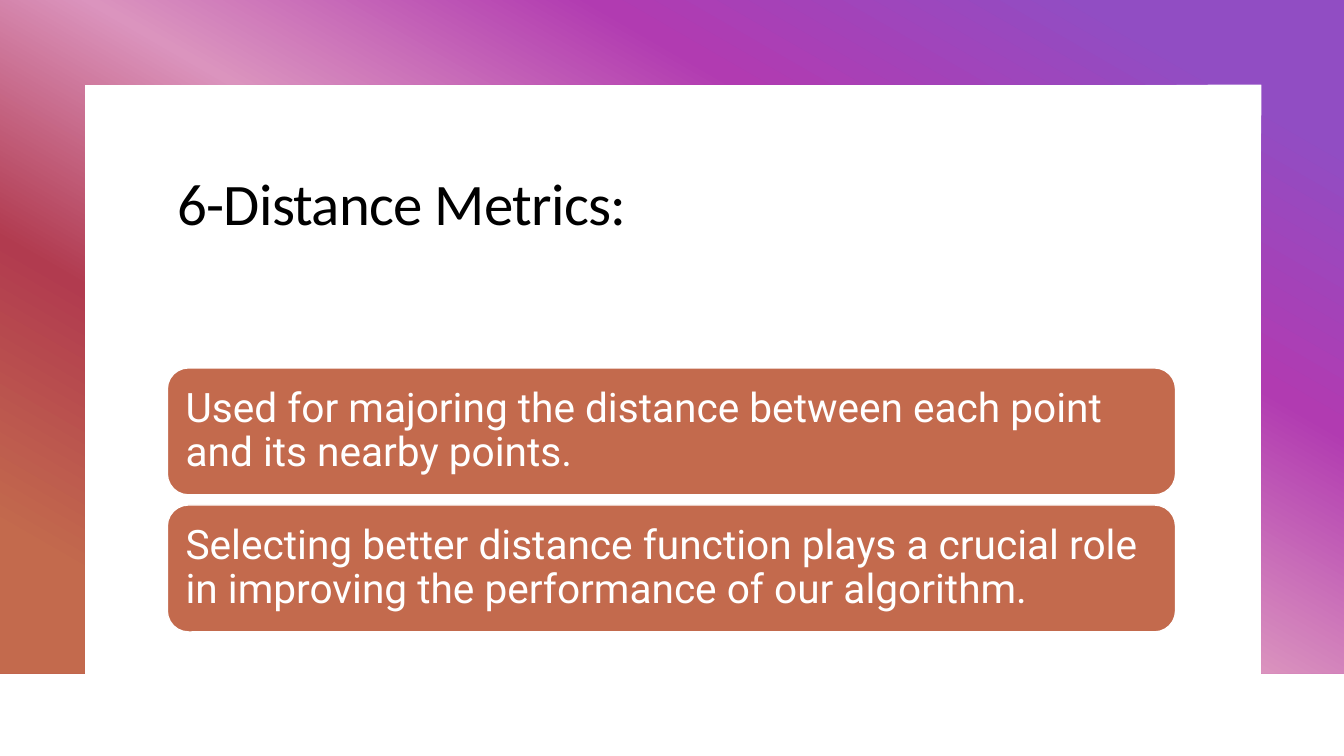
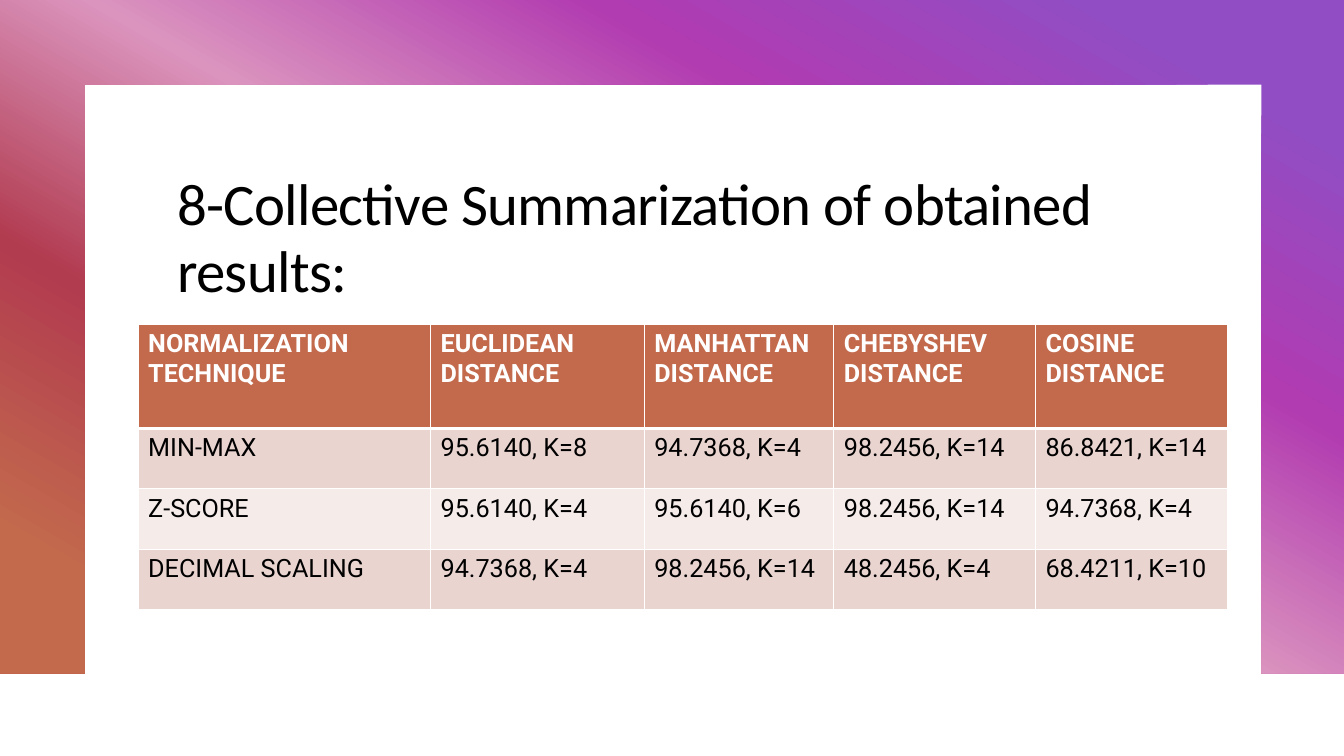
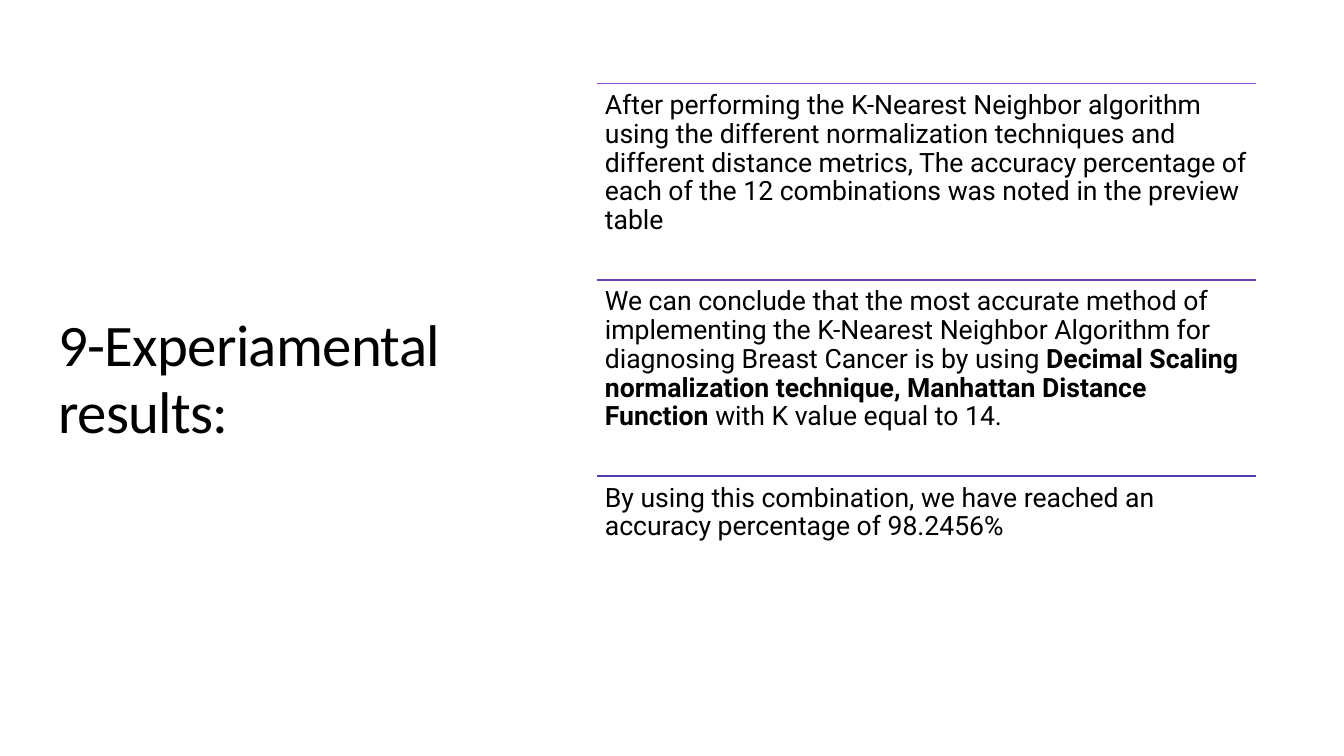
from dataclasses import dataclass

from lxml import etree
from pptx import Presentation
from pptx.dml.color import RGBColor
from pptx.enum.shapes import MSO_CONNECTOR, MSO_SHAPE
from pptx.enum.text import MSO_ANCHOR, MSO_AUTO_SIZE, PP_ALIGN
from pptx.oxml.ns import qn
from pptx.util import Inches, Pt

ROUNDED = MSO_SHAPE.ROUNDED_RECTANGLE
RECTANGLE = MSO_SHAPE.RECTANGLE
STRAIGHT = MSO_CONNECTOR.STRAIGHT
TOP = MSO_ANCHOR.TOP
MIDDLE = MSO_ANCHOR.MIDDLE
LEFT = PP_ALIGN.LEFT
NO_AUTOFIT = MSO_AUTO_SIZE.NONE
TITLE_ONLY = 5
BEHIND_ALL = 2


@dataclass(frozen=True)
class Theme:
    white: str = "FFFFFF"
    black: str = "000000"
    accent: str = "C36A4D"
    band_dark: str = "E9D4D0"
    band_light: str = "F5EBE9"
    gradient: tuple = (
        (10, "914DC3"),
        (30, "B13BB1"),
        (50, "DB94BE"),
        (70, "B13B4F"),
        (90, "C36A4D"),
    )
    rules: tuple = ("914DC3", "6F41BE", "503DB2")
    title_font: str = "Calibri"
    body_font: str = "Roboto"
    title_size: int = 42
    card_size: int = 29
    finding_size: int = 19
    table_size: int = 18


@dataclass(frozen=True)
class Box:
    left: float
    top: float
    width: float
    height: float

    def inches(self):
        return tuple(Inches(value) for value in (self.left, self.top, self.width, self.height))


THEME = Theme()
PAGE = Box(0, 0, 13.33, 7.5)
TITLE_BOX = Box(1.66, 1.66, 10, 1.47)
SIDE_TITLE_BOX = Box(0.48, 0.85, 4.63, 5.84)
CARDS_BOX = Box(1.66, 3.65, 10, 2.62)
TABLE_BOX = Box(1.37, 3.22, 10.81, 2.83)
FINDINGS_BOX = Box(5.92, 0.83, 6.54, 5.84)

CARDS = (
    "Used for majoring the distance between each point and its nearby points.",
    "Selecting better distance function plays a crucial role in improving the performance of our algorithm.",
)
COLUMN_WIDTHS = (2.9, 2.12, 1.88, 2, 1.91)
ROW_HEIGHTS = (1.03, 0.6, 0.6, 0.6)
RESULTS = (
    ("NORMALIZATION TECHNIQUE", "EUCLIDEAN DISTANCE", "MANHATTAN DISTANCE", "CHEBYSHEV DISTANCE", "COSINE DISTANCE"),
    ("MIN-MAX", "95.6140, K=8", "94.7368, K=4", "98.2456, K=14", "86.8421, K=14"),
    ("Z-SCORE", "95.6140, K=4", "95.6140, K=6", "98.2456, K=14", "94.7368, K=4"),
    ("DECIMAL SCALING", "94.7368, K=4", "98.2456, K=14", "48.2456, K=4", "68.4211, K=10"),
)
FINDINGS = (
    (
        (
            "After performing the K-Nearest Neighbor algorithm using the different normalization techniques "
            "and different distance metrics, The accuracy percentage of each of the 12 combinations was noted "
            "in the preview table",
            False,
        ),
    ),
    (
        (
            "We can conclude that the most accurate method of implementing the K-Nearest Neighbor Algorithm "
            "for diagnosing Breast Cancer is by using ",
            False,
        ),
        ("Decimal Scaling normalization technique, Manhattan Distance Function ", True),
        ("with K value equal to 14.", False),
    ),
    (("By using this combination, we have reached an accuracy percentage of 98.2456%", False),),
)


def color(value):
    return RGBColor.from_string(value)


def place(shape, box):
    shape.left, shape.top, shape.width, shape.height = box.inches()


def paint(shape, fill, line=None):
    shape.shadow.inherit = False
    shape.fill.solid()
    shape.fill.fore_color.rgb = color(fill)
    if line:
        shape.line.color.rgb = color(line)
        shape.line.width = Pt(1)
    else:
        shape.line.fill.background()


def style_run(run, size, text_color, font=THEME.body_font, bold=False):
    run.font.name = font
    run.font.size = Pt(size)
    run.font.bold = bold
    run.font.color.rgb = color(text_color)


def set_insets(text_frame, inset):
    text_frame.word_wrap = True
    text_frame.margin_left = text_frame.margin_right = Inches(inset)
    text_frame.margin_top = text_frame.margin_bottom = Inches(inset)


def add_frame_to_layout(layout, slide):
    outline = (
        (0, 0), (13.33, 0), (13.33, 6.68), (12.51, 6.68),
        (12.51, 0.84), (0.84, 0.84), (0.84, 6.68), (0, 6.68),
    )
    points = [(Inches(x), Inches(y)) for x, y in outline]
    builder = slide.shapes.build_freeform(*points[0])
    builder.add_line_segments(points[1:], close=True)
    frame = builder.convert_to_shape()
    frame.shadow.inherit = False
    frame.line.fill.background()
    frame.fill.gradient()
    frame.fill.gradient_angle = 240
    stops = next(frame.element.iter(qn("a:gsLst")))
    for stop in list(stops):
        stops.remove(stop)
    for position, value in THEME.gradient:
        stop = etree.SubElement(stops, qn("a:gs"), pos=str(position * 1000))
        etree.SubElement(stop, qn("a:srgbClr"), val=value)
    layout.shapes.element.insert(BEHIND_ALL, frame.element)


def add_titled_slide(presentation, title_text, box=TITLE_BOX, anchor=TOP):
    slide = presentation.slides.add_slide(presentation.slide_layouts[TITLE_ONLY])
    title = slide.shapes.title
    place(title, box)
    text_frame = title.text_frame
    text_frame.text = title_text
    text_frame.word_wrap = True
    text_frame.auto_size = NO_AUTOFIT
    text_frame.vertical_anchor = anchor
    paragraph = text_frame.paragraphs[0]
    paragraph.alignment = LEFT
    paragraph.line_spacing = 0.95
    run = paragraph.runs[0]
    style_run(run, THEME.title_size, THEME.black, THEME.title_font)
    run.font._element.set("spc", "-50")
    return slide


def add_cards(slide, box, texts, gap=0.1):
    height = (box.height - gap * (len(texts) - 1)) / len(texts)
    for index, text in enumerate(texts):
        card_box = Box(box.left, box.top + index * (height + gap), box.width, height)
        card = slide.shapes.add_shape(ROUNDED, *card_box.inches())
        paint(card, THEME.accent, THEME.white)
        text_frame = card.text_frame
        set_insets(text_frame, 0.12)
        text_frame.vertical_anchor = MIDDLE
        text_frame.text = text
        paragraph = text_frame.paragraphs[0]
        paragraph.alignment = LEFT
        paragraph.line_spacing = 0.9
        style_run(paragraph.runs[0], THEME.card_size, THEME.white)


def set_borders(cell, top_width, bottom_width):
    properties = cell._tc.get_or_add_tcPr()
    for side, width in (("L", 1), ("R", 1), ("T", top_width), ("B", bottom_width)):
        border = etree.SubElement(properties, qn(f"a:ln{side}"), w=str(Pt(width)))
        fill = etree.SubElement(border, qn("a:solidFill"))
        etree.SubElement(fill, qn("a:srgbClr"), val=THEME.white)


def add_results_table(slide, box, rows):
    table = slide.shapes.add_table(len(rows), len(rows[0]), *box.inches()).table
    for column, width in zip(table.columns, COLUMN_WIDTHS):
        column.width = Inches(width)
    for row, height in zip(table.rows, ROW_HEIGHTS):
        row.height = Inches(height)
    for row_index, values in enumerate(rows):
        is_header = row_index == 0
        band = THEME.band_dark if row_index % 2 else THEME.band_light
        for column_index, value in enumerate(values):
            cell = table.cell(row_index, column_index)
            set_borders(cell, 3 if row_index == 1 else 1, 3 if is_header else 1)
            cell.fill.solid()
            cell.fill.fore_color.rgb = color(THEME.accent if is_header else band)
            cell.text_frame.text = value
            run = cell.text_frame.paragraphs[0].runs[0]
            style_run(run, THEME.table_size, THEME.white if is_header else THEME.black, bold=is_header)


def add_rule(slide, left, top, width, line_color):
    rule = slide.shapes.add_connector(
        STRAIGHT, Inches(left), Inches(top), Inches(left + width), Inches(top)
    )
    rule.line.color.rgb = color(line_color)
    rule.line.width = Pt(1)
    etree.SubElement(rule.element.spPr, qn("a:effectLst"))


def add_findings(slide, box, findings):
    height = box.height / len(findings)
    for index, (finding, rule_color) in enumerate(zip(findings, THEME.rules)):
        top = box.top + index * height
        add_rule(slide, box.left, top, box.width, rule_color)
        finding_box = Box(box.left, top, box.width, height)
        text_frame = slide.shapes.add_textbox(*finding_box.inches()).text_frame
        set_insets(text_frame, 0.08)
        paragraph = text_frame.paragraphs[0]
        paragraph.line_spacing = 0.9
        for text, bold in finding:
            run = paragraph.add_run()
            run.text = text
            style_run(run, THEME.finding_size, THEME.black, bold=bold)


def add_cover(slide):
    cover = slide.shapes.add_shape(RECTANGLE, *PAGE.inches())
    paint(cover, THEME.white)
    slide.shapes.element.insert(BEHIND_ALL, cover.element)


def main():
    presentation = Presentation()
    presentation.slide_width = Inches(PAGE.width)
    presentation.slide_height = Inches(PAGE.height)

    metrics = add_titled_slide(presentation, "6-Distance Metrics:")
    add_frame_to_layout(metrics.slide_layout, metrics)
    add_cards(metrics, CARDS_BOX, CARDS)

    summary = add_titled_slide(presentation, "8-Collective Summarization of obtained results:")
    add_results_table(summary, TABLE_BOX, RESULTS)

    conclusion = add_titled_slide(presentation, "9-Experiamental results:", SIDE_TITLE_BOX, MIDDLE)
    add_cover(conclusion)
    add_findings(conclusion, FINDINGS_BOX, FINDINGS)

    presentation.save("out.pptx")


if __name__ == "__main__":
    main()
